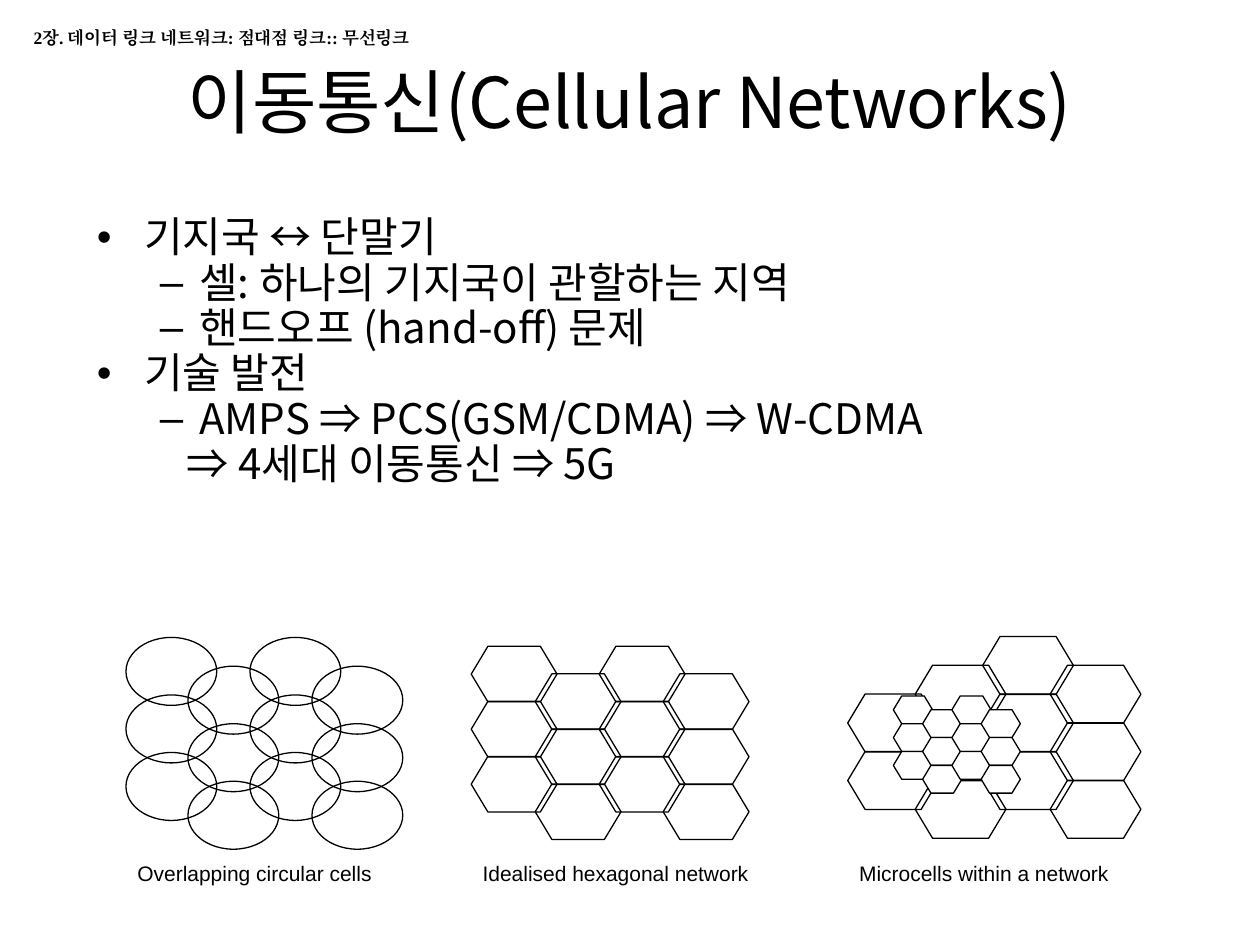
from lxml.etree import SubElement
from pptx import Presentation
from pptx.dml.color import RGBColor
from pptx.enum.shapes import MSO_SHAPE
from pptx.enum.text import MSO_ANCHOR, MSO_AUTO_SIZE, PP_ALIGN
from pptx.oxml.ns import qn
from pptx.util import Cm, Pt

THEME = {
    "ink": RGBColor(0, 0, 0),
    "paper": RGBColor(255, 255, 255),
    "line": Pt(0.75),
    "title": {"name": "Noto Sans CJK KR", "size": Pt(40), "bold": False},
    "body": {"name": "Noto Sans CJK KR", "size": Pt(24), "bold": False},
    "head": {"name": "Times New Roman", "size": Pt(10), "bold": True},
    "label": {"name": "Arial", "size": Pt(12), "bold": False},
}

HEAD = "2장. 데이터 링크 네트워크: 점대점 링크:: 무선링크"
TITLE = "이동통신(Cellular Networks)"
LIST = [
    (0, "기지국 ↔ 단말기"),
    (1, "셀: 하나의 기지국이 관할하는 지역"),
    (1, "핸드오프 (hand-off) 문제"),
    (0, "기술 발전"),
    (1, "AMPS ⇒ PCS(GSM/CDMA) ⇒ W-CDMA"),
    (None, "⇒ 4세대 이동통신 ⇒ 5G"),
]

COLS, ROWS = 4, 3
ROUND = {"kind": MSO_SHAPE.OVAL, "start": (2.54, 12.85), "size": (1.83, 1.37),
         "step": (1.25, 1.16), "skip": [], "solid": False}
HEX = {"kind": MSO_SHAPE.HEXAGON, "start": (9.5, 13.03), "size": (1.73, 1.12),
       "step": (1.29, 1.11), "skip": [], "solid": False}
LARGE = {"kind": MSO_SHAPE.HEXAGON, "start": (17.09, 12.83), "size": (1.83, 1.17),
         "step": (1.36, 1.16), "skip": [(0, 0)], "solid": False}
SMALL = {"kind": MSO_SHAPE.HEXAGON, "start": (18.01, 14.03), "size": (0.79, 0.56),
         "step": (0.59, 0.56), "skip": [], "solid": True}
PLOTS = [
    ("Overlapping circular cells", 2.77, [ROUND]),
    ("Idealised hexagonal network", 9.73, [HEX]),
    ("Microcells within a network", 17.32, [LARGE, SMALL]),
]


def place(shape, left, top, width, height):
    values = {"left": left, "top": top, "width": width, "height": height}
    for key, value in values.items():
        setattr(shape, key, Cm(value))


def write(para, text, style):
    run = para.add_run()
    run.text = text
    for key, value in THEME[style].items():
        setattr(run.font, key, value)
    run.font.color.rgb = THEME["ink"]
    east = SubElement(run.font._element, qn("a:ea"))
    east.set("typeface", THEME[style]["name"])


def frame(shape, **extra):
    text = shape.text_frame
    values = {"word_wrap": True, "auto_size": MSO_AUTO_SIZE.NONE, **extra}
    for key, value in values.items():
        setattr(text, key, value)
    return text


def draw(group, net):
    (left, top), (across, down) = net["start"], net["step"]
    for col in range(COLS):
        for row in range(ROWS):
            if (col, row) in net["skip"]:
                continue
            x = left + col * across
            y = top + (row + col % 2 / 2) * down
            cell = group.shapes.add_shape(net["kind"], Cm(x), Cm(y), *map(Cm, net["size"]))
            cell.shadow.inherit = False
            cell.line.color.rgb = THEME["ink"]
            cell.line.width = THEME["line"]
            if net["kind"] == MSO_SHAPE.HEXAGON:
                cell.adjustments[0] = 0.3
            if net["solid"]:
                cell.fill.solid()
                cell.fill.fore_color.rgb = THEME["paper"]
            else:
                cell.fill.background()


def fill(body):
    text = frame(body)
    for i, (level, words) in enumerate(LIST):
        para = text.paragraphs[0] if i == 0 else text.add_paragraph()
        para.level = 1 if level is None else level
        para.line_spacing = 0.9
        para.space_before = Pt(0)
        if level is None:
            props = para._p.get_or_add_pPr()
            props.set("marL", str(Cm(1.81)))
            props.set("indent", "0")
            SubElement(props, qn("a:buNone"))
        write(para, words, "body")


def main():
    deck = Presentation()
    deck.slide_width, deck.slide_height = Cm(25.4), Cm(19.05)
    slide = deck.slides.add_slide(deck.slide_layouts[1])
    title, body = slide.placeholders

    place(title, 1.9, 1.07, 21.59, 1.9)
    text = frame(title, vertical_anchor=MSO_ANCHOR.MIDDLE)
    text.paragraphs[0].alignment = PP_ALIGN.CENTER
    write(text.paragraphs[0], TITLE, "title")

    place(body, 1.7, 4.24, 22.23, 7.19)
    fill(body)

    head = slide.shapes.add_textbox(Cm(0.43), Cm(0.43), Cm(11.23), Cm(0.69))
    write(frame(head).paragraphs[0], HEAD, "head")

    flush = dict.fromkeys(["margin_left", "margin_top", "margin_right", "margin_bottom"], 0)
    for words, left, nets in PLOTS:
        group = slide.shapes.add_group_shape()
        for net in nets:
            draw(group, net)
        label = group.shapes.add_textbox(Cm(left), Cm(17.35), Cm(5.66), Cm(0.61))
        write(frame(label, **flush).paragraphs[0], words, "label")

    deck.save("out.pptx")


if __name__ == "__main__":
    main()
